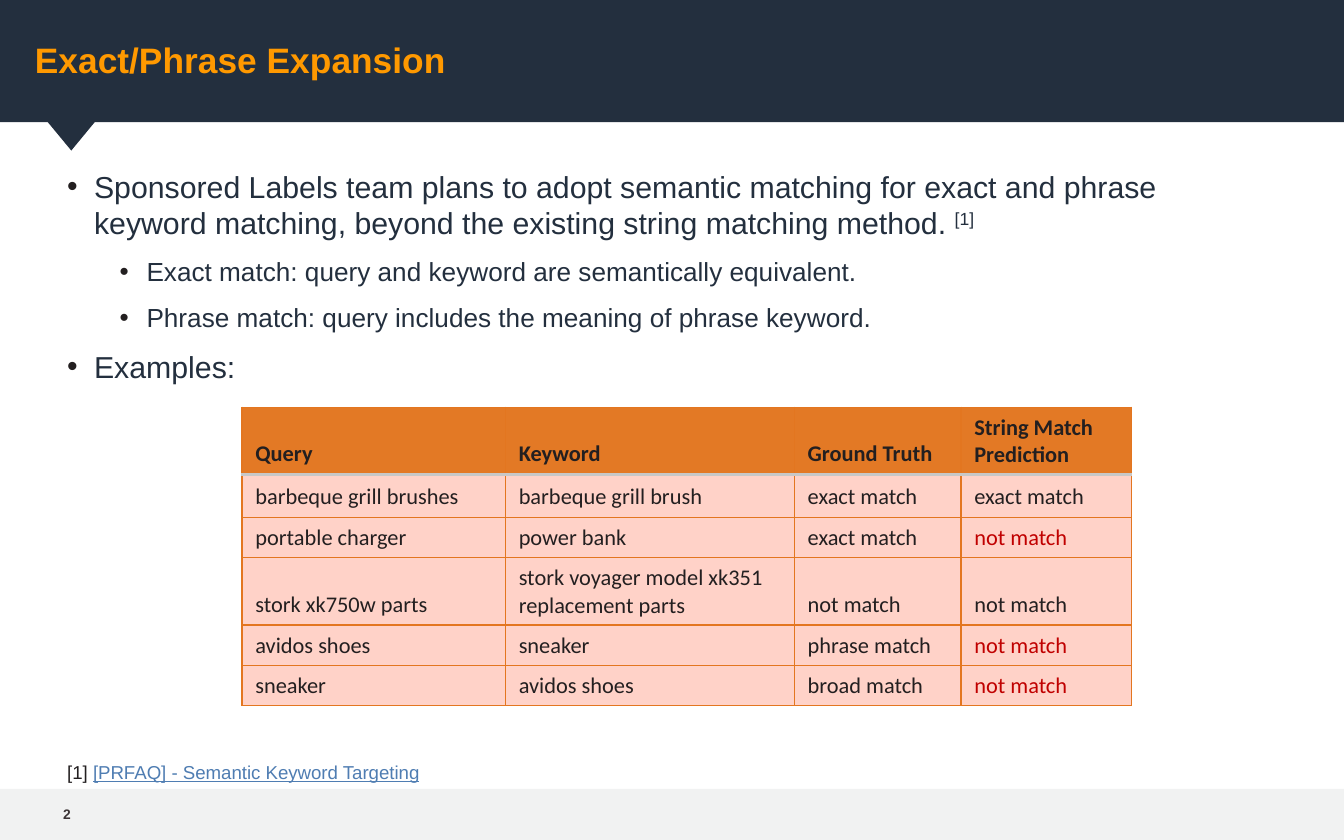
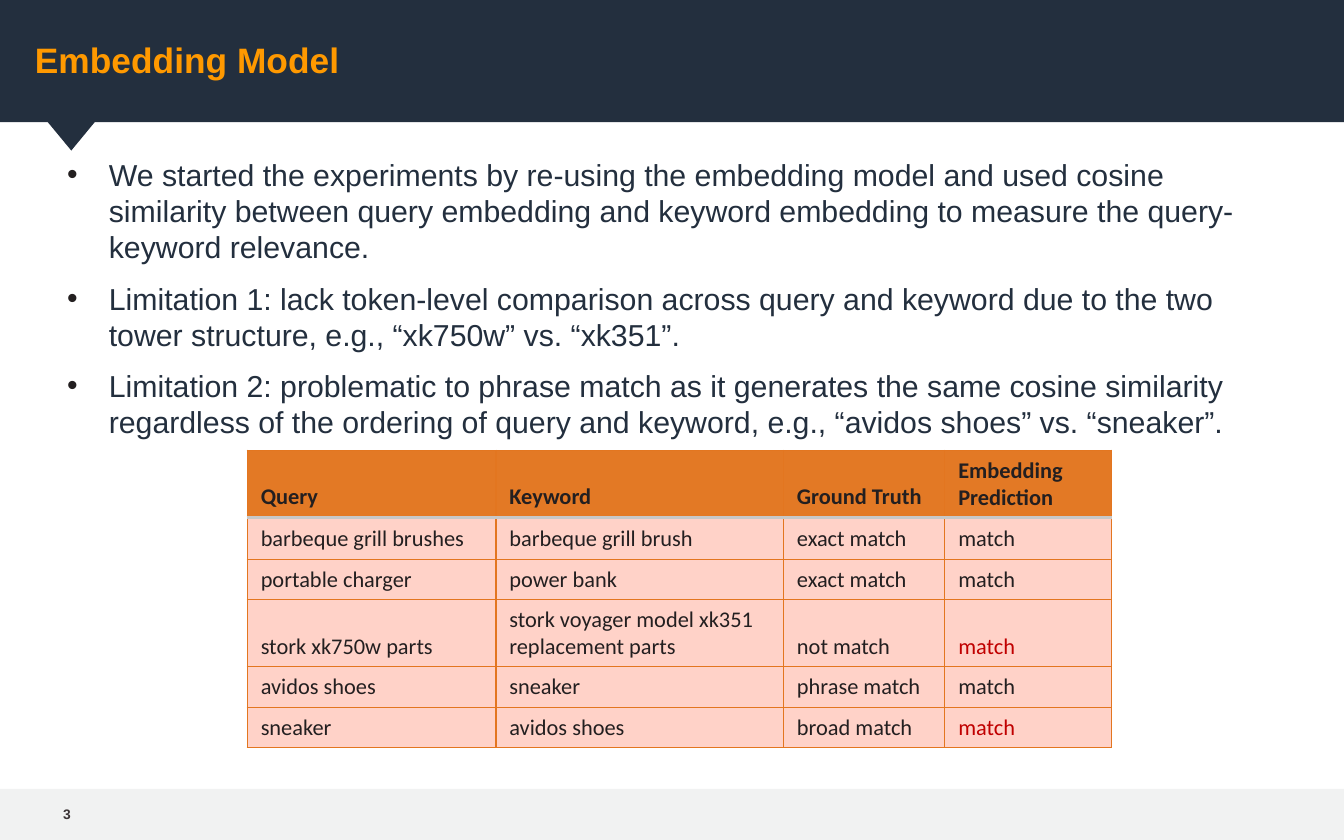
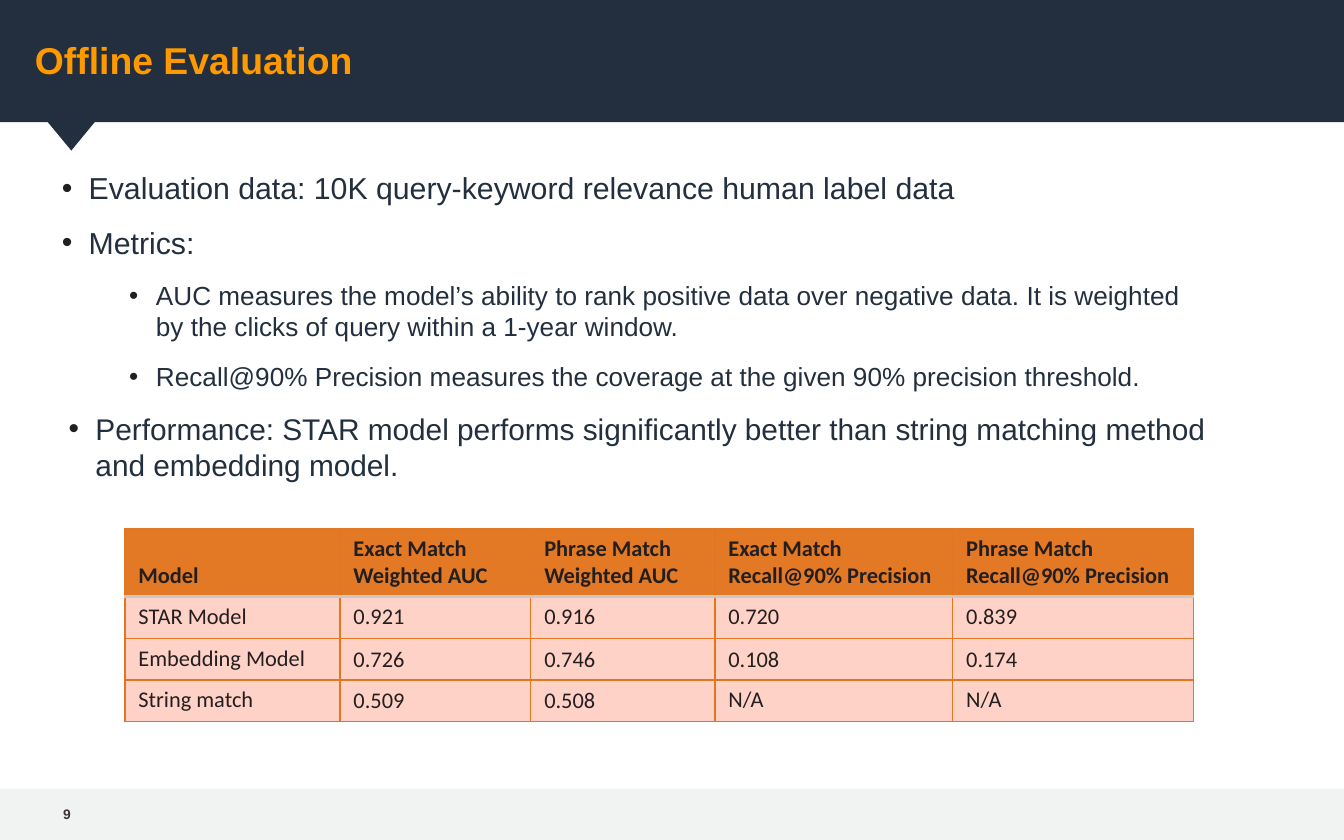
"""Build three slides on keyword matching: expansion, embedding model and evaluation."""
from pptx import Presentation
from pptx.dml.color import RGBColor
from pptx.enum.shapes import MSO_SHAPE as SHAPE
from pptx.enum.text import MSO_ANCHOR as ANCHOR
from pptx.oxml.ns import qn
from pptx.util import Inches, Pt
from lxml.etree import SubElement

NAVY = RGBColor(0x23, 0x2F, 0x3E)
AMBER = RGBColor(0xFF, 0x99, 0x00)
INK = RGBColor(0x23, 0x1F, 0x20)
PAGE = RGBColor(0x3B, 0x34, 0x36)
FOOTER = RGBColor(0xF1, 0xF2, 0xF2)
LINK = RGBColor(0x4F, 0x7D, 0xB2)
HEADER = RGBColor(0xE3, 0x79, 0x25)
BORDER = RGBColor(0xE3, 0x76, 0x20)
RULE = RGBColor(0xC8, 0xC8, 0xC8)
PINK = RGBColor(0xFF, 0xD2, 0xC8)
RED = RGBColor(0xC0, 0x00, 0x00)

PAIRS = [
    ("barbeque grill brushes", "barbeque grill brush", "exact match"),
    ("portable charger", "power bank", "exact match"),
    ("stork xk750w parts", "stork voyager model xk351 replacement parts", "not match"),
    ("avidos shoes", "sneaker", "phrase match"),
    ("sneaker", "avidos shoes", "broad match"),
]
STRING_MATCH = ["exact match"] + ["not match"] * 4
EMBEDDING = ["match"] * 5

SLIDES = [
    {
        "title": "Exact/Phrase Expansion", "title_size": 18.9, "page": "2",
        "body": (0.5, 1.18, 9.05, 4.18), "before": 8,
        "bullets": [
            ("Sponsored Labels team plans to adopt semantic matching for exact and phrase "
             "keyword matching, beyond the existing string matching method. ", 0, 0.2, 0.2, 16.2),
            ("Exact match: query and keyword are semantically equivalent.", 1, 0.59, 0.2, 14),
            ("Phrase match: query includes the meaning of phrase keyword.", 1, 0.59, 0.2, 14),
            ("Examples:", 0, 0.2, 0.2, 16.2),
        ],
        "at": (1.8, 3.03), "cols": [1.96, 2.15, 1.24, 1.27],
        "heights": [0.48, 0.32, 0.29, 0.29, 0.29, 0.29],
        "rows": [("Query", "Keyword", "Ground Truth", "String Match Prediction")]
        + [pair + (guess,) for pair, guess in zip(PAIRS, STRING_MATCH)],
        "wrong": {2, 4, 5}, "top": set(),
    },
    {
        "title": "Embedding Model", "title_size": 18.9, "page": "3",
        "body": (0.5, 1.09, 8.85, 4.68), "before": 8,
        "bullets": [
            ("We started the experiments by re-using the embedding model and used cosine "
             "similarity between query embedding and keyword embedding to measure the "
             "query-keyword relevance.", 0, 0.31, 0.31, 16.2),
            ("Limitation 1: lack token-level comparison across query and keyword due to the two "
             "tower structure, e.g., “xk750w” vs. “xk351”.", 0, 0.31, 0.31, 16.2),
            ("Limitation 2: problematic to phrase match as it generates the same cosine "
             "similarity regardless of the ordering of query and keyword, e.g., “avidos shoes” "
             "vs. “sneaker”.", 0, 0.31, 0.31, 16.2),
        ],
        "at": (1.84, 3.35), "cols": [1.85, 2.14, 1.2, 1.24],
        "heights": [0.47, 0.31, 0.28, 0.48, 0.28, 0.28],
        "rows": [("Query", "Keyword", "Ground Truth", "Embedding Prediction")]
        + [pair + (guess,) for pair, guess in zip(PAIRS, EMBEDDING)],
        "wrong": {3, 5}, "top": set(),
    },
    {
        "title": "Offline Evaluation", "title_size": 20, "page": "9",
        "body": (0.12, 1.19, 9.05, 4.18), "before": 10,
        "bullets": [
            ("Evaluation data: 10K query-keyword relevance human label data", 0, 0.54, 0.2, 16.2),
            ("Metrics:", 0, 0.54, 0.2, 16.2),
            ("AUC measures the model’s ability to rank positive data over negative data. It is "
             "weighted by the clicks of query within a 1-year window.", 2, 1.04, 0.2, 14),
            ("Recall@90% Precision measures the coverage at the given 90% precision threshold.",
             2, 1.04, 0.2, 14),
            ("Performance: STAR model performs significantly better than string matching method "
             "and embedding model.", 1, 0.59, 0.2, 16),
        ],
        "at": (0.93, 3.93), "cols": [1.6, 1.42, 1.37, 1.77, 1.79],
        "heights": [0.51, 0.31, 0.31, 0.31],
        "rows": [
            ("Model", "Exact Match Weighted AUC", "Phrase Match Weighted AUC",
             "Exact Match\nRecall@90% Precision", "Phrase Match\nRecall@90% Precision"),
            ("STAR Model", "0.921", "0.916", "0.720", "0.839"),
            ("Embedding Model", "0.726", "0.746", "0.108", "0.174"),
            ("String match", "0.509", "0.508", "N/A", "N/A"),
        ],
        "wrong": set(),
        "top": {(1, c) for c in range(5)} | {(2, 0), (3, 0), (3, 3), (3, 4)},
    },
]


def add_text(s, box, text, size, color, bold=False, insets=(0, 0.07, 0.13, 0.07), anchor=ANCHOR.TOP):
    tf = s.shapes.add_textbox(*map(Inches, box)).text_frame
    tf.word_wrap = True
    tf.vertical_anchor = anchor
    tf.margin_left, tf.margin_top, tf.margin_right, tf.margin_bottom = map(Inches, insets)
    tf.text = text
    for p in tf.paragraphs:
        style(p.runs[0], size, color, bold)
    return tf


def style(r, size, color, bold=False, name="Arial"):
    r.font.name, r.font.size, r.font.bold = name, Pt(size), bold
    r.font.color.rgb = color


prs = Presentation()
prs.slide_width, prs.slide_height = Inches(10), Inches(6.25)

for data in SLIDES:
    s = prs.slides.add_slide(prs.slide_layouts[6])
    for kind, box, color, turn in [
        (SHAPE.RECTANGLE, (0, 5.87, 10, 0.38), FOOTER, 0),
        (SHAPE.RECTANGLE, (0, 0, 10, 0.91), NAVY, 0),
        (SHAPE.ISOSCELES_TRIANGLE, (0.34, 0.89, 0.38, 0.23), NAVY, 180),
    ]:
        sp = s.shapes.add_shape(kind, *map(Inches, box))
        sp.shadow.inherit = False
        sp.fill.solid()
        sp.fill.fore_color.rgb = color
        sp.line.fill.background()
        sp.rotation = turn

    add_text(s, (0.26, -0.08, 9, 1.04), data["title"], data["title_size"], AMBER, True,
             anchor=ANCHOR.MIDDLE)
    add_text(s, (0.34, 5.86, 0.39, 0.39), data["page"], 7.4, PAGE, True,
             (0.13, 0.07, 0.13, 0.07), ANCHOR.MIDDLE)

    tf = add_text(s, data["body"], "\n".join(b[0] for b in data["bullets"]), 16.2, NAVY)
    for p, (text, level, left, hang, size) in zip(tf.paragraphs, data["bullets"]):
        p.level = level
        p.space_before = Pt(data["before"])
        p.runs[0].font.size = Pt(size)
        pPr = p._p.get_or_add_pPr()
        pPr.set("marL", str(Inches(left)))
        pPr.set("indent", str(-Inches(hang)))
        SubElement(SubElement(pPr, qn("a:buClr")), qn("a:srgbClr"), val=str(INK))
        SubElement(pPr, qn("a:buFont"), typeface="Arial")
        SubElement(pPr, qn("a:buChar"), char="•")

    if data["page"] == "2":
        r = tf.paragraphs[0].add_run()
        r.text = "[1]"
        style(r, 16.2, NAVY)
        r.font._element.set("baseline", "30000")
        note = add_text(s, (0.5, 5.66, 7.59, 0.17), "[1] ", 10, INK, insets=(0, 0, 0, 0))
        r = note.paragraphs[0].add_run()
        r.text = "[PRFAQ] - Semantic Keyword Targeting"
        style(r, 10, LINK)
        r.font.underline = True

    rows, cols, heights = data["rows"], data["cols"], data["heights"]
    size = (sum(cols), sum(heights))
    table = s.shapes.add_table(len(rows), len(cols), *map(Inches, data["at"] + size)).table
    for column, width in zip(table.columns, cols):
        column.width = Inches(width)
    for i, values in enumerate(rows):
        table.rows[i].height = Inches(heights[i])
        for j, value in enumerate(values):
            cell = table.cell(i, j)
            cell.text_frame.text = value
            cell.vertical_anchor = ANCHOR.TOP if (i, j) in data["top"] else ANCHOR.BOTTOM
            color = RED if i in data["wrong"] and j == len(cols) - 1 else INK
            for p in cell.text_frame.paragraphs:
                style(p.runs[0], 12, color, i == 0, "Calibri")
            tcPr = cell._tc.get_or_add_tcPr()
            for side in ("lnL", "lnR", "lnT", "lnB"):
                ruled = (i, side) in ((0, "lnB"), (1, "lnT"))
                ln = SubElement(tcPr, qn("a:" + side), w=str(Pt(2 if ruled else 0.75)))
                SubElement(SubElement(ln, qn("a:solidFill")), qn("a:srgbClr"),
                           val=str(RULE if ruled else BORDER))
            cell.fill.solid()
            cell.fill.fore_color.rgb = PINK if i else HEADER

prs.save("out.pptx")
